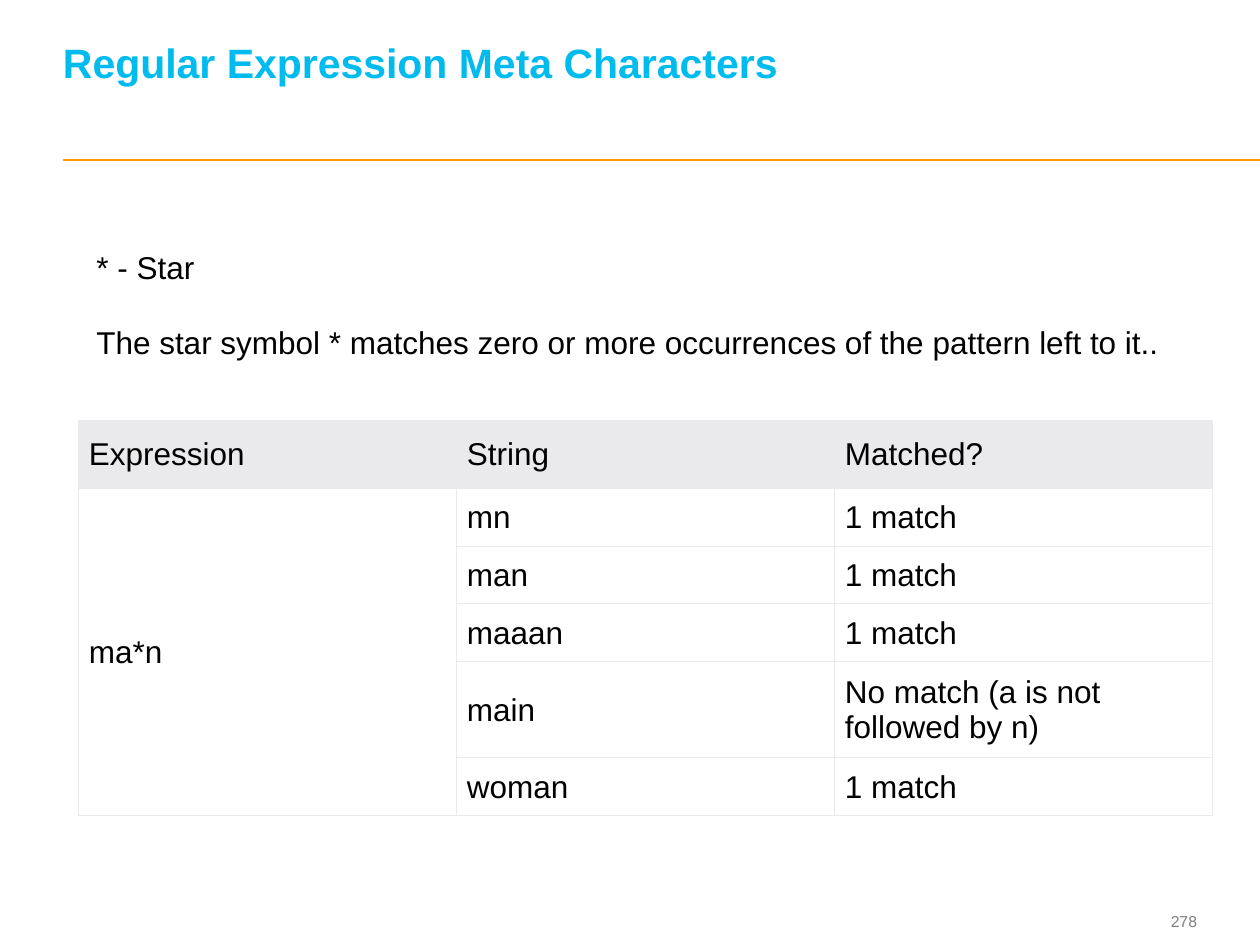
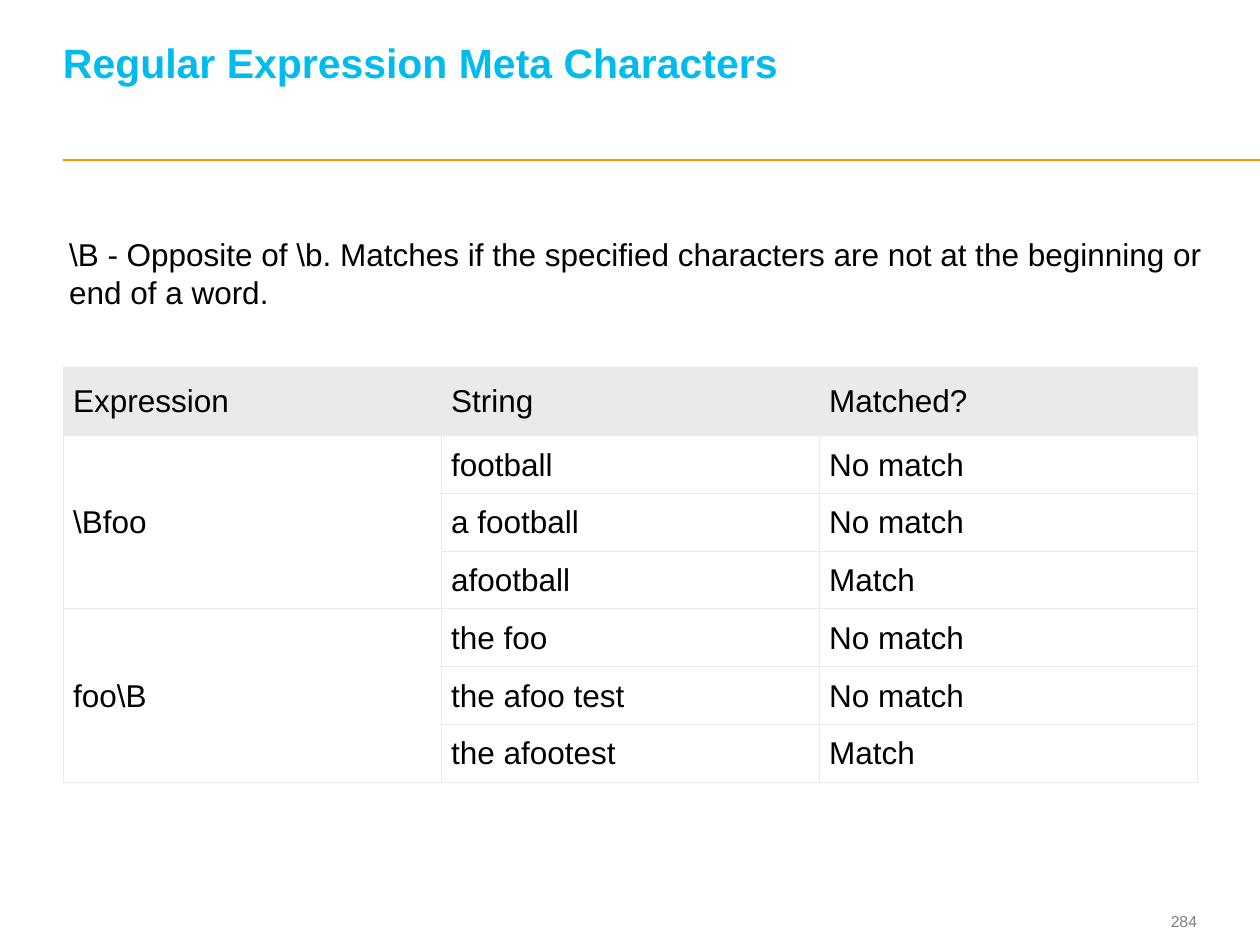
"""Build two slides on regular expression meta characters."""
import pptx
import pptx.dml.color
import pptx.enum.shapes
import pptx.enum.text
import pptx.oxml
import pptx.oxml.ns
import pptx.util

Pt = pptx.util.Pt
Align = pptx.enum.text.PP_ALIGN
Anchor = pptx.enum.text.MSO_ANCHOR

FONT = "Arial"
COLORS = {
    "title": "00BBEE",
    "rule": "FF9900",
    "text": "000000",
    "page": "7F7F7F",
    "head": "EAEAEC",
    "body": "FFFFFF",
    "grid": "EAEAEC",
}
TITLE = "Regular Expression Meta Characters"
HEADS = ("Expression", "String", "Matched?")
COL_W, HEAD_H, ROW_H, TALL_H = 216, 39, 33, 55


def color(name):
    return pptx.dml.color.RGBColor.from_string(COLORS[name])


def style(par, size, name, bold=False):
    font = par.font
    font.name, font.size, font.bold = FONT, Pt(size), bold
    font.color.rgb = color(name)


def add_text(slide, box, lines, size=18, name="text", bold=False,
             gap=0, pads=(7.2, 3.6, 7.2, 3.6), anchor=Anchor.TOP):
    frame = slide.shapes.add_textbox(*map(Pt, box)).text_frame
    frame.word_wrap = True
    frame.vertical_anchor = anchor
    (frame.margin_left, frame.margin_top,
     frame.margin_right, frame.margin_bottom) = map(Pt, pads)
    frame.text = "\n".join(lines)
    for i, par in enumerate(frame.paragraphs):
        style(par, size, name, bold)
        if i and gap:
            par.space_before = Pt(gap)
    return frame.paragraphs[0]


def add_rule(slide):
    line = slide.shapes.add_connector(
        pptx.enum.shapes.MSO_CONNECTOR.STRAIGHT, Pt(36), Pt(91.4), Pt(720), Pt(91.4))
    line.line.color.rgb = color("rule")
    line.line.width = Pt(1)
    props = line._element.spPr
    props.append(props.makeelement(pptx.oxml.ns.qn("a:effectLst"), {}))


def add_frame(deck, page):
    slide = deck.slides.add_slide(deck.slide_layouts[6])
    add_rule(slide)
    add_text(slide, (641.5, 517, 42.5, 19.4), [page], 9, "page",
             pads=(0, 0, 0, 0), anchor=Anchor.MIDDLE).alignment = Align.RIGHT
    add_text(slide, (36, 13.7, 645.8, 62), [TITLE], 23.4, "title", True,
             pads=(0, 0, 0, 26), anchor=Anchor.BOTTOM).line_spacing = Pt(26)
    return slide


def add_grid(cell):
    props = cell._tc.get_or_add_tcPr()
    for side in "LRTB":
        props.append(pptx.oxml.parse_xml(
            f'<a:ln{side} {pptx.oxml.ns.nsdecls("a")} w="{Pt(0.6)}"><a:solidFill>'
            f'<a:srgbClr val="{COLORS["grid"]}"/></a:solidFill></a:ln{side}>'))


def fill_cell(cell, text, head):
    add_grid(cell)
    cell.fill.solid()
    cell.fill.fore_color.rgb = color("head" if head else "body")
    cell.vertical_anchor = Anchor.MIDDLE
    cell.margin_left, cell.margin_right = Pt(5.8), Pt(5)
    cell.margin_top = Pt(8.6 if head else 5.8)
    cell.margin_bottom = Pt(8.6 if head else 5)
    cell.text = text
    style(cell.text_frame.paragraphs[0], 18, "text")


def add_table(slide, left, top, groups, tall=None):
    rows = [HEADS]
    spans = []
    for term, pairs in groups.items():
        spans.append((len(rows), len(rows) + len(pairs) - 1))
        rows += [("" if i else term, *pair) for i, pair in enumerate(pairs)]
    sizes = [HEAD_H] + [ROW_H] * (len(rows) - 1)
    if tall:
        sizes[tall] = TALL_H
    table = slide.shapes.add_table(
        len(rows), len(HEADS), Pt(left), Pt(top),
        Pt(COL_W * len(HEADS)), Pt(sum(sizes))).table
    table.first_row = table.horz_banding = False
    for col in table.columns:
        col.width = Pt(COL_W)
    for r, row in enumerate(rows):
        table.rows[r].height = Pt(sizes[r])
        for c, text in enumerate(row):
            fill_cell(table.cell(r, c), text, r == 0)
    for first, last in spans:
        table.cell(first, 0).merge(table.cell(last, 0))


def main():
    deck = pptx.Presentation()
    deck.slide_width, deck.slide_height = Pt(720), Pt(540)

    star = add_frame(deck, "278")
    add_text(star, (48, 138.2, 628, 72.7), [
        "* - Star",
        "The star symbol * matches zero or more occurrences of the pattern left to it..",
    ], gap=21.5)
    add_table(star, 45, 240, {"ma*n": [
        ("mn", "1 match"),
        ("man", "1 match"),
        ("maaan", "1 match"),
        ("main", "No match (a is not followed by n)"),
        ("woman", "1 match"),
    ]}, tall=4)

    edge = add_frame(deck, "284")
    add_text(edge, (32.4, 131, 666.7, 51), [
        r"\B - Opposite of \b. Matches if the specified characters are not"
        " at the beginning or end of a word."])
    add_table(edge, 36, 210, {
        r"\Bfoo": [("football", "No match"), ("a football", "No match"),
                   ("afootball", "Match")],
        r"foo\B": [("the foo", "No match"), ("the afoo test", "No match"),
                   ("the afootest", "Match")],
    })
    deck.save("out.pptx")


if __name__ == "__main__":
    main()
